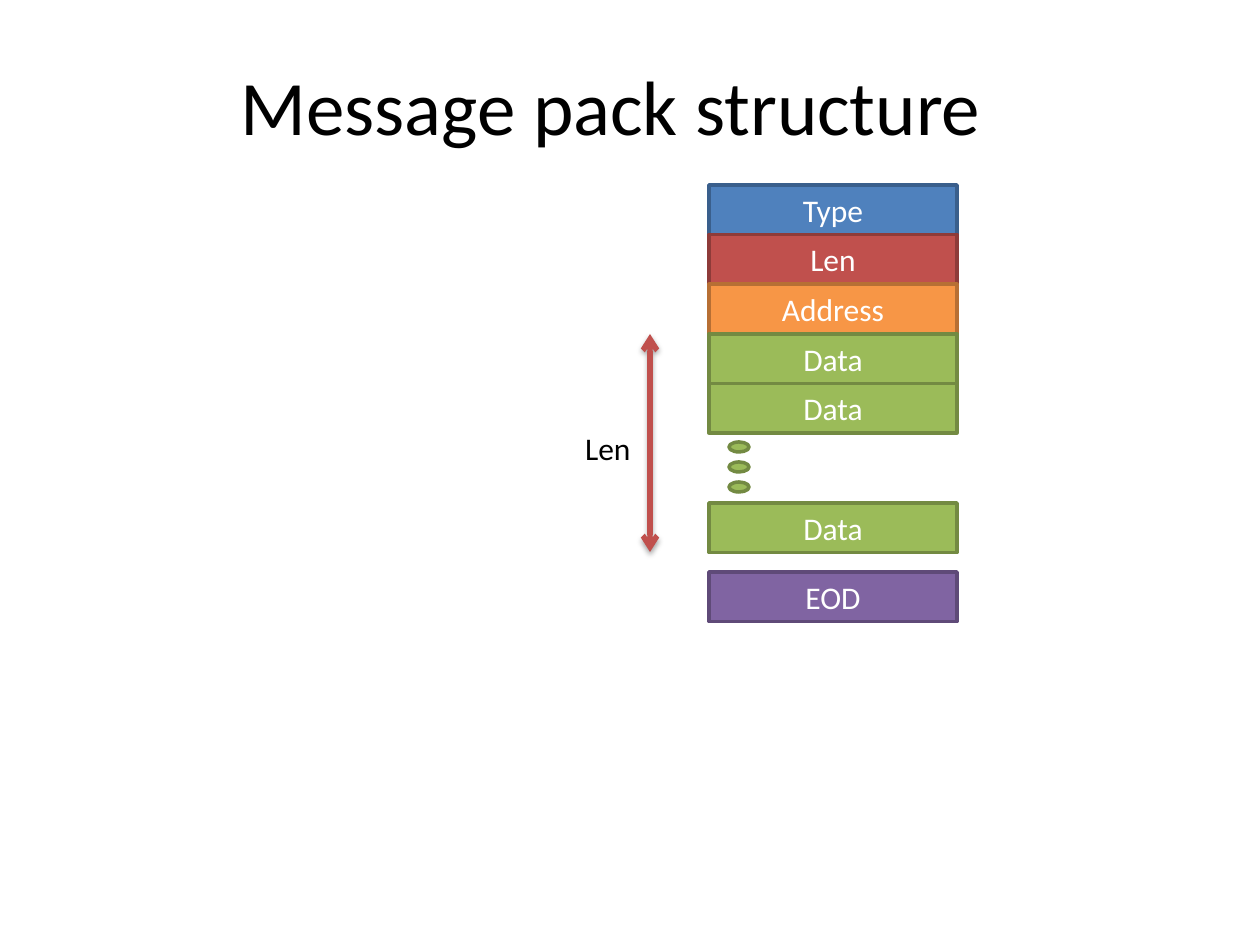
from lxml import etree
from pptx import Presentation
from pptx.dml.color import RGBColor
from pptx.enum.shapes import MSO_CONNECTOR, MSO_SHAPE
from pptx.enum.text import MSO_ANCHOR, PP_ALIGN
from pptx.oxml import parse_xml
from pptx.oxml.ns import nsdecls, qn
from pptx.util import Emu, Pt

RECTANGLE, OVAL = MSO_SHAPE.RECTANGLE, MSO_SHAPE.OVAL
STRAIGHT = MSO_CONNECTOR.STRAIGHT
CENTER, RIGHT = PP_ALIGN.CENTER, PP_ALIGN.RIGHT
TOP, MIDDLE = MSO_ANCHOR.TOP, MSO_ANCHOR.MIDDLE

FONT = "Calibri"
PIXELS_PER_INCH = 126
COLORS = {
    "black": "000000", "white": "FFFFFF",
    "blue": "4F81BD", "blue_line": "3A5F8C",
    "red": "C0504D", "red_line": "8E3B39",
    "orange": "F79646", "orange_line": "B76F34",
    "green": "9BBB59", "green_line": "738A42",
    "purple": "8064A2", "purple_line": "5F4A78",
}
HEADER_FIELDS = [("Type", "blue"), ("Len", "red"), ("Address", "orange"),
                 ("Data", "green"), ("Data", "green")]


def px(length):
    return Emu(round(length * 914400 / PIXELS_PER_INCH))


def color(name):
    return RGBColor.from_string(COLORS[name])


def write_text(shape, text, size=18, ink="black", align=CENTER, anchor=MIDDLE, wrap=True):
    frame = shape.text_frame
    frame.word_wrap = wrap
    frame.vertical_anchor = anchor
    paragraph = frame.paragraphs[0]
    paragraph.text = text
    paragraph.alignment = align
    paragraph.font.name = FONT
    paragraph.font.size = Pt(size)
    paragraph.font.color.rgb = color(ink)


def add_label(slide, box, text, **text_format):
    label = slide.shapes.add_textbox(*map(px, box))
    write_text(label, text, **text_format)


def add_block(slide, kind, box, hue):
    shape = slide.shapes.add_shape(kind, *map(px, box))
    shape.shadow.inherit = False
    shape.fill.solid()
    shape.fill.fore_color.rgb = color(hue)
    shape.line.color.rgb = color(hue + "_line")
    shape.line.width = Pt(2)
    return shape


def add_field(slide, box, text, hue):
    write_text(add_block(slide, RECTANGLE, box, hue), text, ink="white")


def add_ellipsis(slide, left, top):
    """Three dots that stand for the omitted data fields."""
    for index in range(3):
        add_block(slide, OVAL, (left, top + 20 * index, 20, 10), "green")


def add_message(slide, left, top, width, height):
    """Five joined fields, the omitted ones, then the last data field and EOD."""
    field_height = height / len(HEADER_FIELDS)
    for index, (text, hue) in enumerate(HEADER_FIELDS):
        add_field(slide, (left, top + index * field_height, width, field_height), text, hue)
    add_ellipsis(slide, left + 20, top + height + 9)
    for offset, text, hue in [(70, "Data", "green"), (139, "EOD", "purple")]:
        add_field(slide, (left, top + height + offset, width, field_height), text, hue)


def add_length_span(slide, left, top, width, height):
    """Double arrow on the right edge of the box, with its label beside it."""
    x = left + width
    arrow = slide.shapes.add_connector(STRAIGHT, px(x), px(top), px(x), px(top + height))
    arrow.line.color.rgb = color("red")
    arrow.line.width = Pt(3)
    line = arrow.line._get_or_add_ln()
    for end in ("a:headEnd", "a:tailEnd"):
        etree.SubElement(line, qn(end), type="arrow")
    arrow._element.spPr.append(parse_xml(
        f'<a:effectLst {nsdecls("a")}>'
        f'<a:outerShdw blurRad="{Pt(3.1)}" dist="{Pt(1.8)}" dir="5400000" rotWithShape="0">'
        f'<a:srgbClr val="{COLORS["black"]}"><a:alpha val="35000"/></a:srgbClr>'
        '</a:outerShdw></a:effectLst>'))
    add_label(slide, (left, top + 89, 72, 50), "Len", align=RIGHT, anchor=TOP, wrap=False)


def main():
    presentation = Presentation()
    presentation.slide_width, presentation.slide_height = px(1260), px(945)
    slide = presentation.slides.add_slide(presentation.slide_layouts[6])
    add_label(slide, (44, 26, 1134, 158), "Message pack structure", size=44)
    add_message(slide, 709, 185, 248, 248)
    add_length_span(slide, 571, 334, 79, 218)
    presentation.save("out.pptx")


if __name__ == "__main__":
    main()
